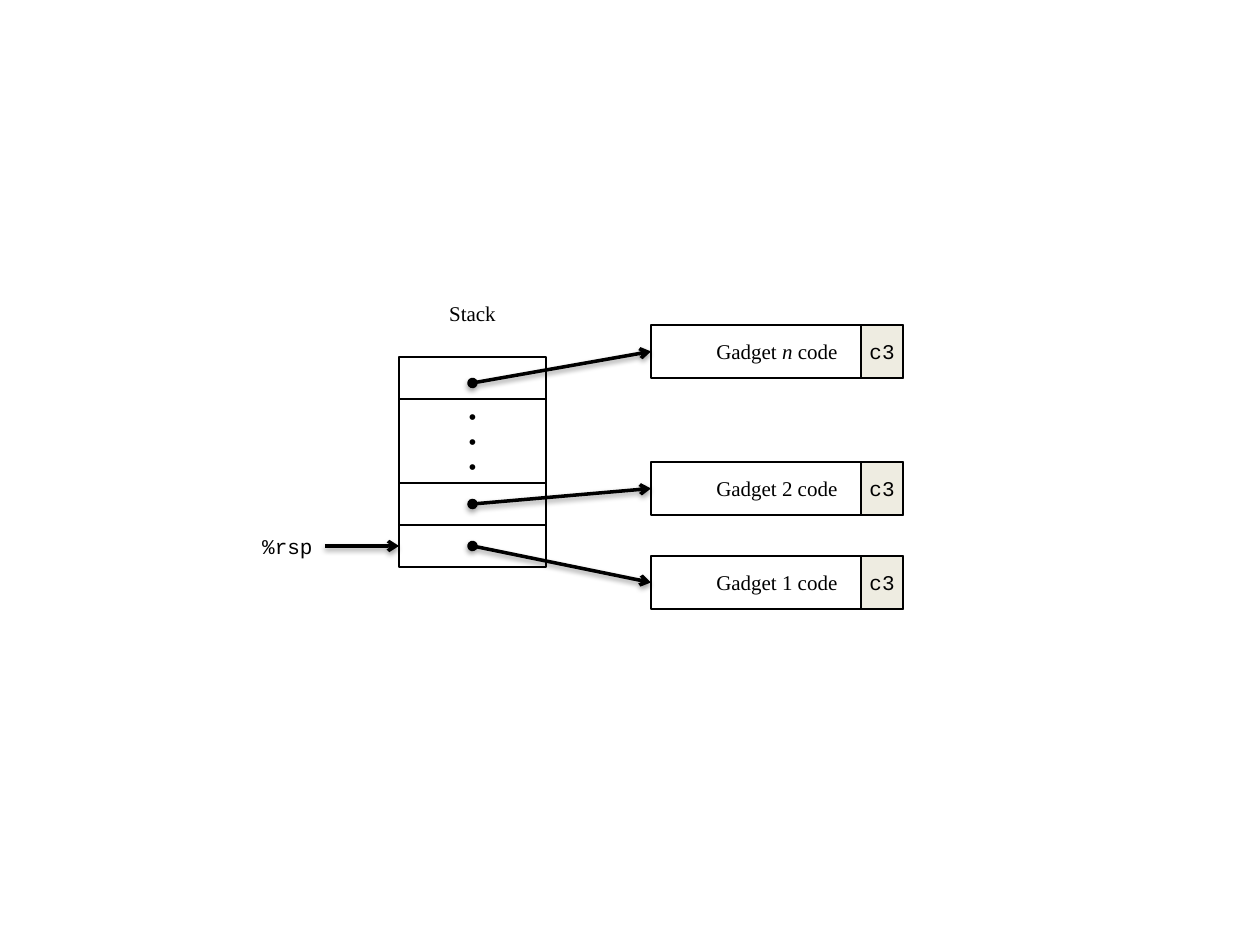
"""Build the slide of a stack whose entries point to gadget code."""
from lxml.etree import SubElement
from pptx import Presentation
from pptx.dml.color import RGBColor
from pptx.enum.shapes import MSO_CONNECTOR, MSO_SHAPE
from pptx.enum.text import MSO_ANCHOR, PP_ALIGN
from pptx.oxml import parse_xml
from pptx.oxml.ns import nsdecls, qn
from pptx.util import Emu, Pt

HUES = {"ink": "000000", "sand": "EEECE1"}
INK = RGBColor.from_string(HUES["ink"])
SERIF, MONO, SANS = "Times New Roman", "Courier New", "Arial"
SHADE = (
    f'<a:effectLst {nsdecls("a")}><a:outerShdw blurRad="40000" dist="20000" '
    f'dir="5400000" rotWithShape="0"><a:srgbClr val="{HUES["ink"]}">'
    '<a:alpha val="38000"/></a:srgbClr></a:outerShdw></a:effectLst>'
)


def px(*nums):
    return [Emu(round(n * 914400 / 126)) for n in nums]


def write(shape, lines, face, align=PP_ALIGN.CENTER, **form):
    frame = shape.text_frame
    form = {"word_wrap": True, "vertical_anchor": MSO_ANCHOR.MIDDLE, **form}
    for key, val in form.items():
        setattr(frame, key, val)
    for num, line in enumerate(lines):
        para = frame.paragraphs[0] if num == 0 else frame.add_paragraph()
        para.alignment = align
        for part in line:
            run = para.add_run()
            run.text = part
            look = {"size": Pt(12), "name": face, "italic": part == "n"}
            for key, val in look.items():
                setattr(run.font, key, val)
            run.font.color.rgb = INK


prs = Presentation()
prs.slide_width, prs.slide_height = px(1260, 945)
slide = prs.slides.add_slide(prs.slide_layouts[6])
shapes = slide.shapes

left, wide, row = 399, 147, 42
rects = []
top = 357
for high in (row, 2 * row, row, row):
    cell = shapes.add_shape(MSO_SHAPE.RECTANGLE, *px(left, top, wide, high))
    rects.append((cell, 1, None))
    if high > row:
        write(cell, [["•"]] * 3, SANS, word_wrap=False, margin_top=0, margin_bottom=0)
    top += high

code, span, tall = 651, 252, 53
gadgets = [
    (556, 546, ["Gadget 1 code"]),
    (462, 504, ["Gadget 2 code"]),
    (325, 383, ["Gadget ", "n", " code"]),
]
arrows = []
for top, start, label in gadgets:
    group = shapes.add_group_shape().shapes
    tag = group.add_shape(MSO_SHAPE.RECTANGLE, *px(code + span - row, top, row, tall))
    write(tag, [["c3"]], MONO, margin_left=0, margin_right=0)
    body = group.add_shape(MSO_SHAPE.RECTANGLE, *px(code, top, span, tall))
    write(body, [label], SERIF)
    rects += [(tag, 1, "sand"), (body, 1.5, None)]
    arrows.append((left + wide / 2, start, code, top + tall / 2, True))
arrows.append((325, 546, left, 546, False))

for rect, width, hue in rects:
    rect.shadow.inherit = False
    rect.line.color.rgb = INK
    rect.line.width = Pt(width)
    if hue:
        rect.fill.solid()
        rect.fill.fore_color.rgb = RGBColor.from_string(HUES[hue])
    else:
        rect.fill.background()

for *ends, dot in arrows:
    arrow = shapes.add_connector(MSO_CONNECTOR.STRAIGHT, *px(*ends))
    arrow.line.color.rgb = INK
    arrow.line.width = Pt(2)
    edge = arrow.line._get_or_add_ln()
    if dot:
        SubElement(edge, qn("a:headEnd"), type="oval")
    SubElement(edge, qn("a:tailEnd"), type="arrow")
    arrow._element.spPr.append(parse_xml(SHADE))

rsp = shapes.add_textbox(*px(178, 525, wide, row))
write(rsp, [["%rsp"]], MONO, PP_ALIGN.RIGHT)
title = shapes.add_textbox(*px(left, 294, wide, 38))
write(title, [["Stack"]], SERIF, vertical_anchor=MSO_ANCHOR.TOP)

prs.save("out.pptx")
